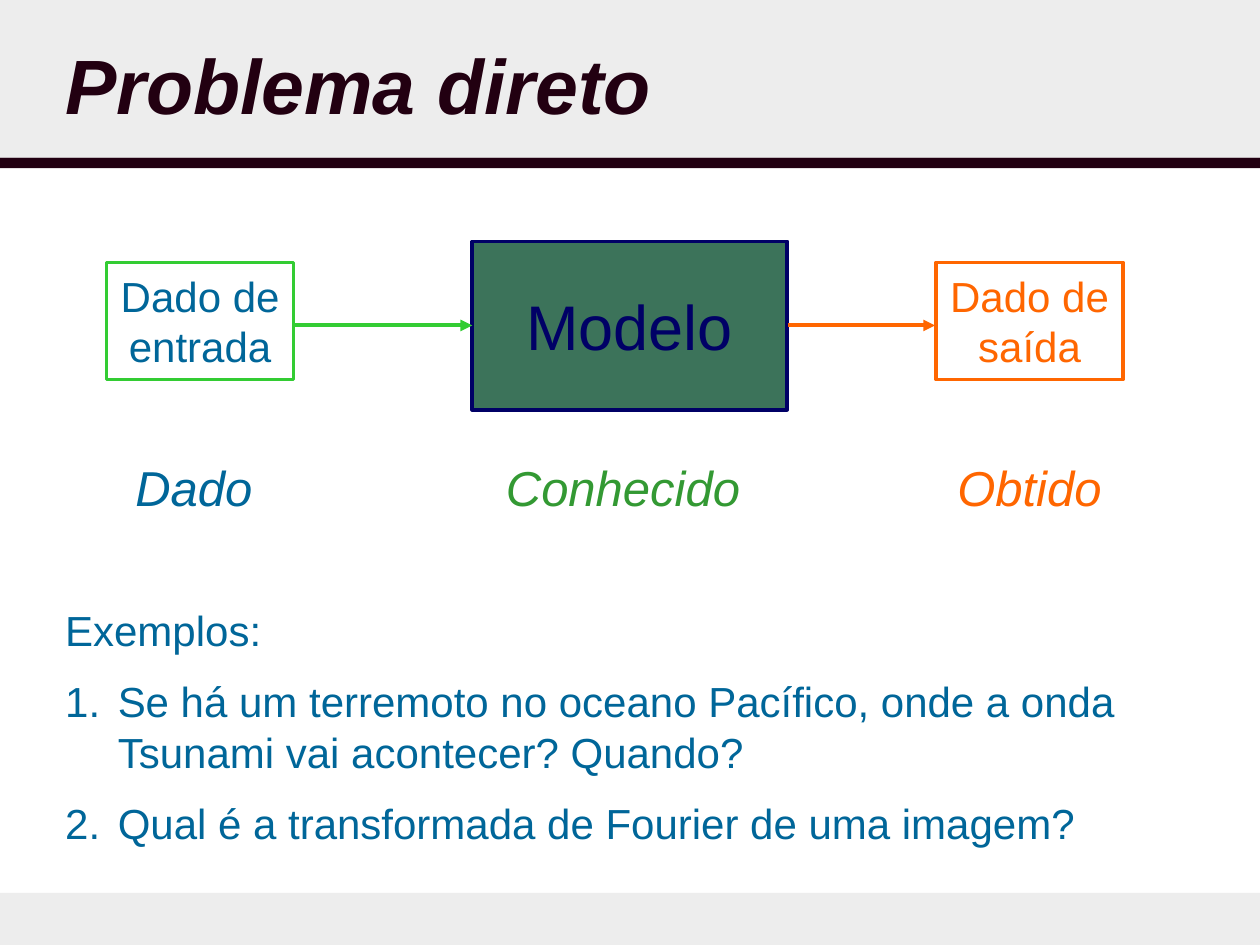
import pptx
import pptx.dml.color
import pptx.enum.shapes
import pptx.enum.text
import pptx.oxml.ns
import pptx.util
from lxml import etree

Cm = pptx.util.Cm
Pt = pptx.util.Pt
RGBColor = pptx.dml.color.RGBColor
RECTANGLE = pptx.enum.shapes.MSO_SHAPE.RECTANGLE
STRAIGHT = pptx.enum.shapes.MSO_CONNECTOR.STRAIGHT
ALIGN = pptx.enum.text.PP_ALIGN
ANCHOR = pptx.enum.text.MSO_ANCHOR
AUTO_SIZE = pptx.enum.text.MSO_AUTO_SIZE
qn = pptx.oxml.ns.qn

FONT = "Arial"
GREY = RGBColor(0xDD, 0xDD, 0xDD)
DARK = RGBColor(0x22, 0x00, 0x11)
BLUE = RGBColor(0x00, 0x66, 0x99)
NAVY = RGBColor(0x00, 0x00, 0x66)
MODEL_GREEN = RGBColor(0x3C, 0x73, 0x5A)
LIME = RGBColor(0x33, 0xCC, 0x33)
GREEN = RGBColor(0x33, 0x99, 0x33)
ORANGE = RGBColor(0xFF, 0x66, 0x00)

TITLE = "Problema direto"
EXAMPLES_HEADING = "Exemplos:"
EXAMPLES = [
    "Se há um terremoto no oceano Pacífico, onde a onda Tsunami vai acontecer? Quando?",
    "Qual é a transformada de Fourier de uma imagem?",
]

# Positions and sizes in centimetres
WIDTH, HEIGHT = 25.4, 19.05
BANDS = [  # top, height, colour, opacity in percent
    (18, 1.05, GREY, 50),
    (3.18, 0.21, DARK, 100),
    (0, 3.18, GREY, 50),
]
BOXES = [  # left, top, width, height, lines, fill, line, line width, text colour, size
    (9.52, 4.87, 6.35, 3.39, ["Modelo"], MODEL_GREEN, NAVY, 2.25, NAVY, 36),
    (2.15, 5.29, 3.77, 2.36, ["Dado de", "entrada"], None, LIME, 2, BLUE, 24),
    (18.87, 5.29, 3.77, 2.36, ["Dado de", "saída"], None, ORANGE, 2, ORANGE, 24),
]
ARROW_Y = 6.56
ARROWS = [(5.93, 9.52, LIME), (15.88, 18.85, ORANGE)]  # start, end, colour
LABEL_TOP, LABEL_HEIGHT = 9.1, 1.45
LABELS = [  # left, width, text, colour
    (2.48, 2.87, "Dado", BLUE),
    (19.05, 3.43, "Obtido", ORANGE),
    (9.95, 5.25, "Conhecido", GREEN),
]


def place(shape, left, top, width, height):
    shape.left, shape.top = Cm(left), Cm(top)
    shape.width, shape.height = Cm(width), Cm(height)


def write(paragraph, text, size, color, bold=False, italic=False):
    run = paragraph.add_run()
    run.text = text
    font = run.font
    font.name, font.size = FONT, Pt(size)
    font.bold, font.italic = bold, italic
    font.color.rgb = color


def paragraphs(frame, count):
    """Return the frame's first paragraph followed by new ones, count in all."""
    return [frame.paragraphs[0]] + [frame.add_paragraph() for _ in range(count - 1)]


def add_band(slide, top, height, color, opacity):
    band = slide.shapes.add_shape(RECTANGLE, 0, Cm(top), Cm(WIDTH), Cm(height))
    band.shadow.inherit = False
    band.fill.solid()
    band.fill.fore_color.rgb = color
    band.line.fill.background()
    if opacity < 100:
        color_element = band.fill._xPr.find(".//" + qn("a:srgbClr"))
        etree.SubElement(color_element, qn("a:alpha"), val=str(opacity * 1000))


def add_box(slide, left, top, width, height, lines, fill, line, line_width, color, size):
    box = slide.shapes.add_shape(RECTANGLE, Cm(left), Cm(top), Cm(width), Cm(height))
    box.shadow.inherit = False
    if fill is None:
        box.fill.background()
    else:
        box.fill.solid()
        box.fill.fore_color.rgb = fill
    box.line.color.rgb = line
    box.line.width = Pt(line_width)
    frame = box.text_frame
    frame.word_wrap = False
    frame.vertical_anchor = ANCHOR.MIDDLE
    for paragraph, text in zip(paragraphs(frame, len(lines)), lines):
        paragraph.alignment = ALIGN.CENTER
        write(paragraph, text, size, color)


def add_arrow(slide, start, end, color):
    arrow = slide.shapes.add_connector(STRAIGHT, Cm(start), Cm(ARROW_Y), Cm(end), Cm(ARROW_Y))
    arrow.line.color.rgb = color
    arrow.line.width = Pt(2.25)
    etree.SubElement(arrow.line._get_or_add_ln(), qn("a:tailEnd"), type="triangle")
    etree.SubElement(arrow._element.spPr, qn("a:effectLst"))


def add_label(slide, left, width, text, color):
    label = slide.shapes.add_textbox(Cm(left), Cm(LABEL_TOP), Cm(width), Cm(LABEL_HEIGHT))
    label.text_frame.word_wrap = False
    write(label.text_frame.paragraphs[0], text, 28, color, italic=True)


def fill_title(title):
    place(title, 1.06, 0.63, 23.92, 2.12)
    title.text_frame.vertical_anchor = ANCHOR.MIDDLE
    paragraph = title.text_frame.paragraphs[0]
    paragraph.alignment = ALIGN.LEFT
    write(paragraph, TITLE, 44, DARK, bold=True, italic=True)


def fill_examples(body):
    place(body, 1.06, 12.06, 23.28, 5.72)
    frame = body.text_frame
    frame.auto_size = AUTO_SIZE.NONE
    texts = [EXAMPLES_HEADING] + EXAMPLES
    for index, paragraph in enumerate(paragraphs(frame, len(texts))):
        paragraph.space_before = Pt(12 if index else 0)
        properties = paragraph._p.get_or_add_pPr()
        properties.set("marL", str(Cm(1.06)))
        properties.set("indent", str(-Cm(1.06)))
        if index:
            etree.SubElement(properties, qn("a:buFont"), typeface=FONT)
            etree.SubElement(properties, qn("a:buAutoNum"), type="arabicPeriod")
        else:
            etree.SubElement(properties, qn("a:buNone"))
        write(paragraph, texts[index], 24, BLUE)


def main():
    presentation = pptx.Presentation()
    presentation.slide_width, presentation.slide_height = Cm(WIDTH), Cm(HEIGHT)
    slide = presentation.slides.add_slide(presentation.slide_layouts[1])
    fill_title(slide.shapes.title)
    fill_examples(slide.placeholders[1])
    for add, rows in [
        (add_band, BANDS),
        (add_box, BOXES),
        (add_arrow, ARROWS),
        (add_label, LABELS),
    ]:
        for row in rows:
            add(slide, *row)
    # The bands lie behind the title and the list
    tree = slide.shapes._spTree
    for placeholder in list(slide.placeholders):
        tree.insert(tree.index(slide.shapes[-1]._element), placeholder._element)
    presentation.save("out.pptx")


if __name__ == "__main__":
    main()
